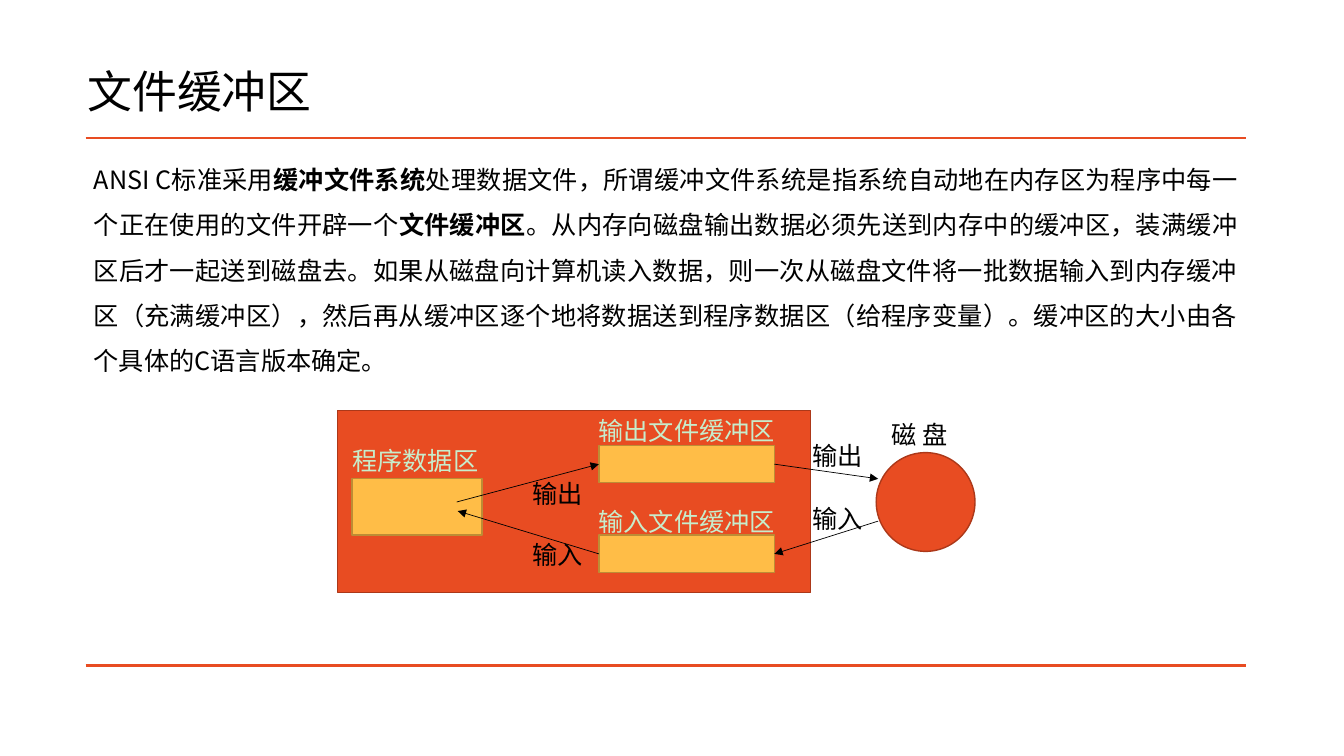
import pptx
import pptx.util
import pptx.dml.color
import pptx.enum.shapes
import pptx.enum.text
import pptx.oxml.ns
import lxml.etree

Inch = pptx.util.Inches
Pt = pptx.util.Pt
Shape = pptx.enum.shapes.MSO_SHAPE
Align = pptx.enum.text.PP_ALIGN
Anchor = pptx.enum.text.MSO_ANCHOR
qn = pptx.oxml.ns.qn

theme = {
    "font": "Noto Sans CJK SC", "head": 32, "body": 18, "lead": 32.4,
    "ink": "000000", "pale": "C7EDCC",
    "red": "E84C22", "brick": "AC3819", "gold": "FFBD47", "brown": "BD8C35",
}
wide, high = 13.33, 7.5
left, span = 0.85, 11.51

title = "文件缓冲区"
body = [
    ("ANSI C标准采用", False),
    ("缓冲文件系统", True),
    ("处理数据文件，所谓缓冲文件系统是指系统自动地在内存区为程序中每一个正在使用的文件开辟一个", False),
    ("文件缓冲区", True),
    ("。从内存向磁盘输出数据必须先送到内存中的缓冲区，装满缓冲区后才一起送到磁盘去。"
     "如果从磁盘向计算机读入数据，则一次从磁盘文件将一批数据输入到内存缓冲区（充满缓冲区），"
     "然后再从缓冲区逐个地将数据送到程序数据区（给程序变量）。"
     "缓冲区的大小由各个具体的C语言版本确定。", False),
]
rules = [1.37, 6.6]

buff, row, drop = 5.94, 4.42, 0.89
buff_w, buff_h = 1.74, 0.37
mid = row + buff_h / 2
end = buff + buff_w
blocks = [
    (Shape.RECTANGLE, 3.35, 4.07, 4.69, 1.81, "red", "brick"),
    (Shape.OVAL, 8.69, 4.49, 0.98, 0.98, "red", "brick"),
    (Shape.RECTANGLE, 3.49, 4.75, 1.29, 0.56, "gold", "brown"),
] + [(Shape.RECTANGLE, buff, row + n * drop, buff_w, buff_h, "gold", "brown")
     for n in range(2)]
arrows = [
    (end, mid, 8.71, 4.75),
    (8.71, 5.17, end, mid + drop),
    (4.53, 4.98, buff, mid),
    (buff, mid + drop, 4.54, 5.07),
]
labels = [
    ("输出文件缓冲区", buff + buff_w / 2, 4.27, "pale"),
    ("输入文件缓冲区", buff + buff_w / 2, 5.17, "pale"),
    ("程序数据区", 4.12, 4.57, "pale"),
    ("输出", 5.53, 4.9, "ink"),
    ("输入", 5.53, 5.5, "ink"),
    ("输出", 8.31, 4.52, "ink"),
    ("输入", 8.31, 5.14, "ink"),
    ("磁 盘", 9.12, 4.31, "ink"),
]

deck = pptx.Presentation()
deck.slide_width, deck.slide_height = Inch(wide), Inch(high)
slide = deck.slides.add_slide(deck.slide_layouts[6])


def tint(name):
    return pptx.dml.color.RGBColor.from_string(theme[name])


def write(text, x, y, w, h, size="body", hue="ink", align=Align.LEFT,
          anchor=Anchor.MIDDLE, pad=0, lead=None):
    frame = slide.shapes.add_textbox(Inch(x), Inch(y), Inch(w), Inch(h)).text_frame
    frame.word_wrap = True
    frame.vertical_anchor = anchor
    frame.margin_left = frame.margin_right = Inch(pad)
    frame.margin_top = frame.margin_bottom = 0
    para = frame.paragraphs[0]
    para.alignment = align
    if lead:
        para.line_spacing = Pt(lead)
    for part, bold in [(text, False)] if isinstance(text, str) else text:
        run = para.add_run()
        run.text = part
        run.font.size = Pt(theme[size])
        run.font.bold = bold
        run.font.name = theme["font"]
        run.font.color.rgb = tint(hue)
        lxml.etree.SubElement(run.font._element, qn("a:ea")).set("typeface", theme["font"])


def link(x, y, to_x, to_y, hue="ink", width=0.5, head=True):
    line = slide.shapes.add_connector(
        pptx.enum.shapes.MSO_CONNECTOR.STRAIGHT,
        Inch(x), Inch(y), Inch(to_x), Inch(to_y))
    line.line.color.rgb = tint(hue)
    line.line.width = Pt(width)
    props = line._element.spPr
    if head:
        lxml.etree.SubElement(props.find(qn("a:ln")), qn("a:tailEnd")).set("type", "triangle")
    lxml.etree.SubElement(props, qn("a:effectLst"))


def block(kind, x, y, w, h, fill, edge):
    shape = slide.shapes.add_shape(kind, Inch(x), Inch(y), Inch(w), Inch(h))
    shape.shadow.inherit = False
    shape.fill.solid()
    shape.fill.fore_color.rgb = tint(fill)
    shape.line.color.rgb = tint(edge)
    shape.line.width = Pt(1)


for y in rules:
    link(left, y, left + span, y, hue="red", width=2, head=False)
write(title, 0.77, 0.17, 11.5, 1.45, size="head", pad=0.1)
write(body, left, 1.48, span, 2.4, align=Align.JUSTIFY, anchor=Anchor.TOP,
      pad=0.08, lead=theme["lead"])
for item in blocks:
    block(*item)
for item in arrows:
    link(*item)
for text, x, y, hue in labels:
    w, h = 0.26 * len(text) + 0.1, 0.36
    write(text, x - w / 2, y - h / 2, w, h, hue=hue, align=Align.CENTER)

deck.save("out.pptx")
